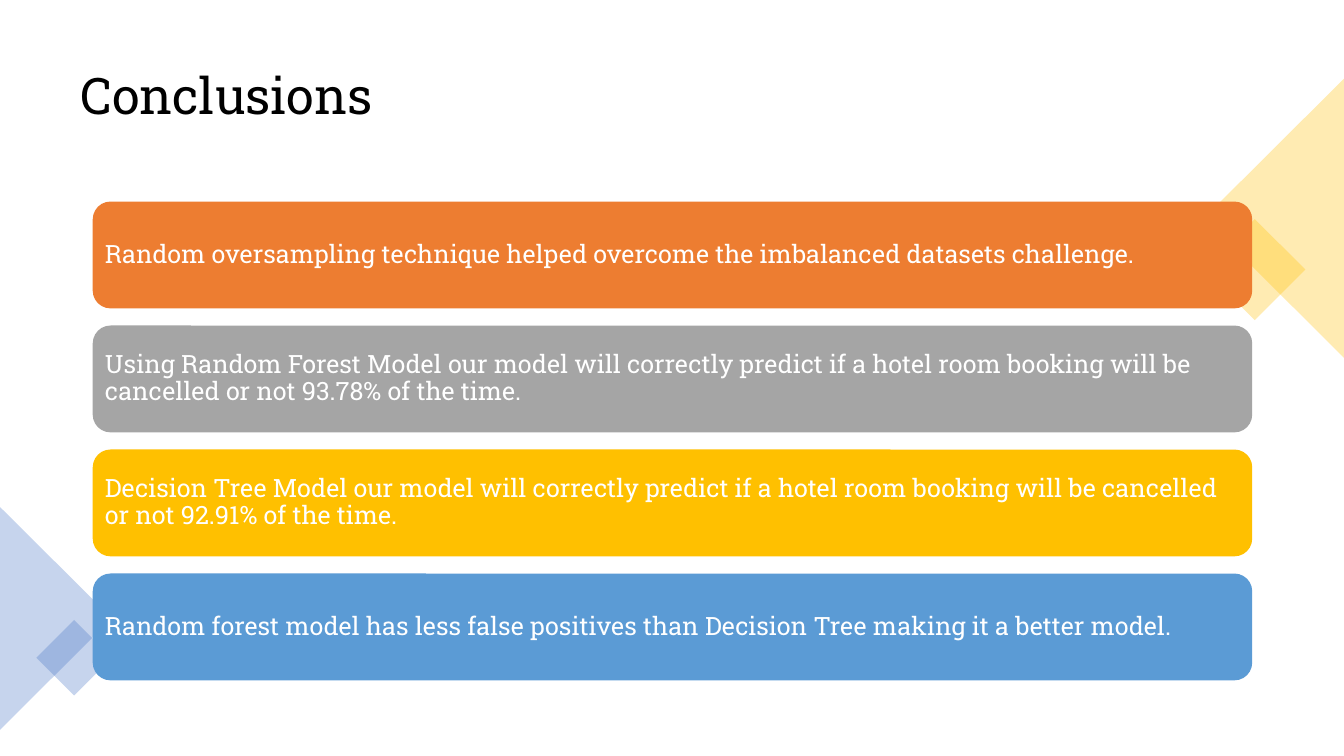
"""Build the Conclusions slide."""
from lxml import etree
from pptx import Presentation
from pptx import util as u
from pptx.dml.color import RGBColor
from pptx.enum import shapes, text
from pptx.oxml.ns import qn

FONT = "Roboto Slab"
KIND = shapes.MSO_SHAPE
GOLD, BLUE = "FFC000", "4472C4"
DECOR = [
    (KIND.RECTANGLE, (12.09, 2.32, 0.71, 0.71), 45, GOLD),
    (KIND.ISOSCELES_TRIANGLE, (11.25, 1.47, 2.77, 1.39), 270, GOLD),
    (KIND.ISOSCELES_TRIANGLE, (-0.55, 5.58, 2.21, 1.11), 90, BLUE),
    (KIND.RECTANGLE, (0.47, 6.26, 0.53, 0.53), 45, BLUE),
]
POINTS = [
    ("ED7D31", "Random oversampling technique helped overcome the imbalanced "
               "datasets challenge."),
    ("A5A5A5", "Using Random Forest Model our model will correctly predict if a "
               "hotel room booking will be cancelled or not 93.78% of the time."),
    (GOLD, "Decision Tree Model our model will correctly predict if a hotel room "
           "booking will be cancelled or not 92.91% of the time."),
    ("5B9BD5", "Random forest model has less false positives than Decision Tree "
               "making it a better model."),
]
TOP, STEP = 2, 1.23


def paint(fmt, hue):
    """Give a fill a solid colour from a hex string."""
    fmt.solid()
    fmt.fore_color.rgb = RGBColor.from_string(hue)


def write(shape, words, size, hue):
    """Put one left-aligned run of text in a shape."""
    frame = shape.text_frame
    frame.word_wrap = True
    frame.auto_size = text.MSO_AUTO_SIZE.NONE
    frame.vertical_anchor = text.MSO_ANCHOR.MIDDLE
    para = frame.paragraphs[0]
    para.alignment = text.PP_ALIGN.LEFT
    para.line_spacing = 0.9
    para.space_before = u.Pt(0)
    run = para.add_run()
    run.text = words
    run.font.name = FONT
    run.font.size = u.Pt(size)
    paint(run.font.fill, hue)


def block(parent, kind, box, hue):
    """Add a plain filled shape without line or shadow."""
    shape = parent.add_shape(kind, *map(u.Inches, box))
    shape.shadow.inherit = False
    paint(shape.fill, hue)
    shape.line.fill.background()
    return shape


def decor(slide, kind, box, turn, hue):
    """Add a turned shape at 30% opacity."""
    shape = block(slide.shapes, kind, box, hue)
    shape.rotation = turn
    tone = shape.fill._xPr.find(qn("a:solidFill"))[0]
    etree.SubElement(tone, qn("a:alpha"), val="30000")


def bar(group, row, hue, words):
    """Add one rounded bar with its conclusion."""
    box = (0.92, TOP + row * STEP, 11.5, 1.06)
    shape = block(group.shapes, KIND.ROUNDED_RECTANGLE, box, hue)
    frame = shape.text_frame
    frame.margin_left = frame.margin_right = u.Inches(0.07)
    frame.margin_top = frame.margin_bottom = u.Inches(0.07)
    write(shape, words, 18, "FFFFFF")


def main():
    """Build and save the slide."""
    deck = Presentation()
    deck.slide_width, deck.slide_height = u.Inches(13.33), u.Inches(7.5)
    slide = deck.slides.add_slide(deck.slide_layouts[5])
    title = slide.shapes.title
    title.left, title.top = u.Inches(0.7), u.Inches(0.35)
    title.width, title.height = u.Inches(11.93), u.Inches(1.24)
    write(title, "Conclusions", 36, "000000")
    for item in DECOR:
        decor(slide, *item)
    group = slide.shapes.add_group_shape()
    for row, (hue, words) in enumerate(POINTS):
        bar(group, row, hue, words)
    deck.save("out.pptx")


if __name__ == "__main__":
    main()
